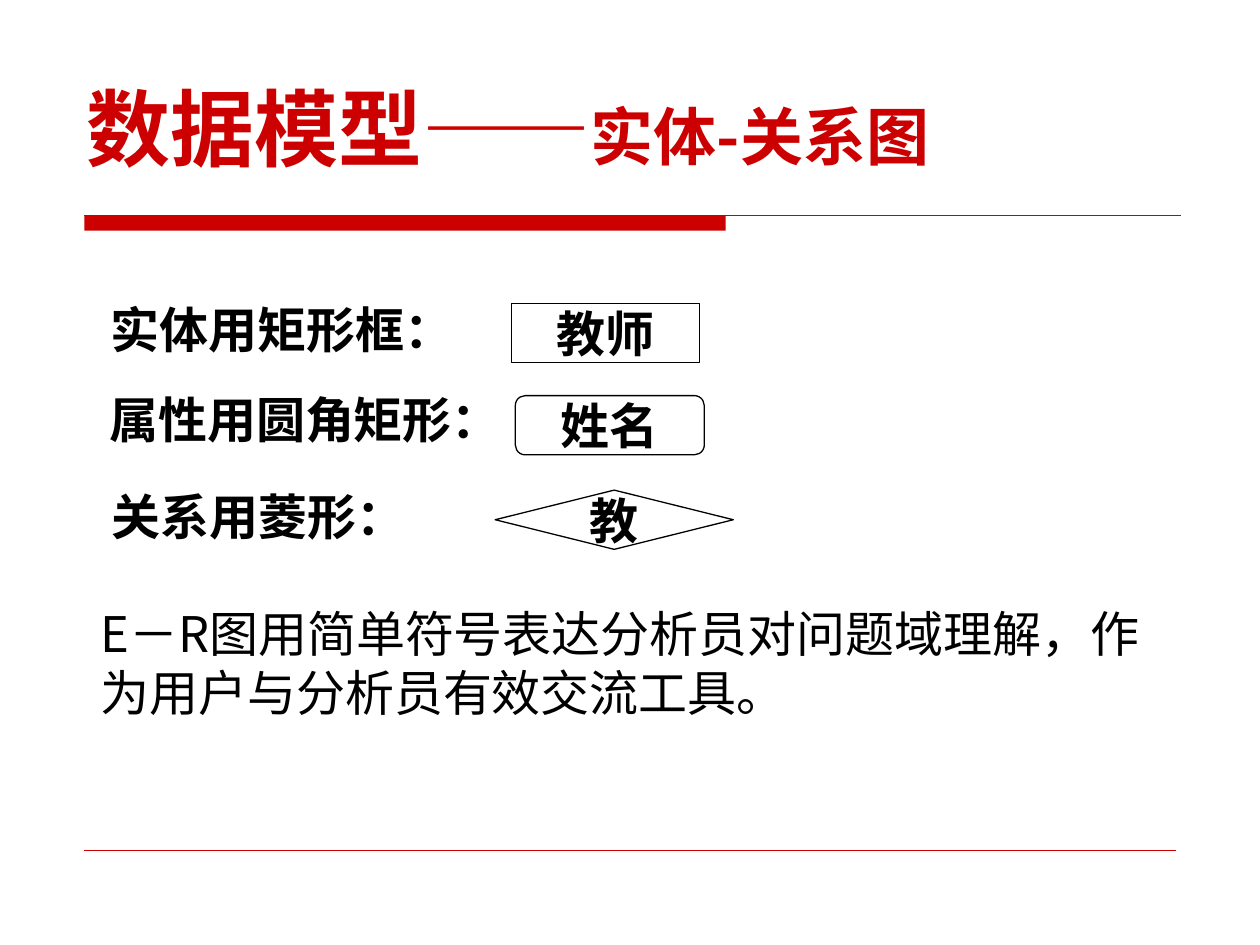
"""Build the slide on entity-relationship diagram symbols."""
import lxml.etree
import pptx
import pptx.dml.color
import pptx.enum.shapes
import pptx.enum.text
import pptx.oxml.ns
import pptx.util

Inches, Pt = pptx.util.Inches, pptx.util.Pt
SHAPE = pptx.enum.shapes.MSO_SHAPE
ANCHOR = pptx.enum.text.MSO_ANCHOR
qn = pptx.oxml.ns.qn
FONT = "Noto Sans CJK SC"
COLORS = {name: pptx.dml.color.RGBColor.from_string(value)
          for name, value in {"red": "CC0000", "black": "000000"}.items()}


def write(sp, runs, size, color, bold=True, wrap=True):
    tf = sp.text_frame
    tf.word_wrap = wrap
    p = tf.paragraphs[0]
    p.font.name = FONT
    p.font.size = Pt(size)
    p.font.bold = bold
    p.font.color.rgb = COLORS[color]
    ea = lxml.etree.SubElement(p._p.pPr.find(qn("a:defRPr")), qn("a:ea"))
    ea.set("typeface", FONT)
    for text in runs:
        p.add_run().text = text
    return p


def add_rule(x1, x2, y, width):
    line = s.shapes.add_connector(
        pptx.enum.shapes.MSO_CONNECTOR.STRAIGHT,
        Inches(x1), Inches(y), Inches(x2), Inches(y))
    line.line.color.rgb = COLORS["red"]
    line.line.width = Pt(width)
    lxml.etree.SubElement(line._element.spPr, qn("a:effectLst"))


prs = pptx.Presentation()
prs.slide_width, prs.slide_height = Inches(10), Inches(7.5)
s = prs.slides.add_slide(prs.slide_layouts[6])

bar = s.shapes.add_shape(SHAPE.RECTANGLE, Inches(0.67), Inches(1.71), Inches(5.09), Inches(0.12))
bar.shadow.inherit = False
bar.fill.solid()
bar.fill.fore_color.rgb = COLORS["red"]
bar.line.fill.background()
add_rule(0.67, 9.37, 1.71, 0.75)
add_rule(0.67, 9.33, 6.75, 0.25)

title = s.shapes.add_textbox(Inches(0.59), Inches(0.41), Inches(8.75), Inches(1.05))
title.text_frame.vertical_anchor = ANCHOR.BOTTOM
p = write(title, ["数据模型", "——", "实体-关系图"], 48, "red")
p.runs[1].font.bold = False
p.runs[2].font.size = Pt(36)

texts = [
    ("实体用矩形框：", 0.78, 2.33, 4.33, 0.71, True, True),
    ("E－R图用简单符号表达分析员对问题域理解，作为用户与分析员有效交流工具。",
     0.7, 4.74, 8.66, 1.04, False, True),
    ("属性用圆角矩形：", 0.77, 3.04, 3.3, 0.57, True, False),
    ("关系用菱形：", 0.79, 3.81, 2.53, 0.57, True, False),
]
for text, x, y, w, h, bold, wrap in texts:
    sp = s.shapes.add_textbox(Inches(x), Inches(y), Inches(w), Inches(h))
    p = write(sp, [text], 28, "black", bold, wrap)
    p.line_spacing = Pt(33.6)

symbols = [
    ("教师", SHAPE.RECTANGLE, 4.06, 2.41, 1.49),
    ("姓名", SHAPE.ROUNDED_RECTANGLE, 4.09, 3.14, 1.5),
    ("教", SHAPE.DIAMOND, 3.93, 3.89, 1.89),
]
for text, kind, x, y, w in symbols:
    sp = s.shapes.add_shape(kind, Inches(x), Inches(y), Inches(w), Inches(0.47))
    sp.shadow.inherit = False
    sp.fill.background()
    sp.line.color.rgb = COLORS["black"]
    sp.line.width = Pt(0.75)
    sp.text_frame.vertical_anchor = ANCHOR.MIDDLE
    p = write(sp, [text], 28, "black", wrap=False)
    p.alignment = pptx.enum.text.PP_ALIGN.CENTER
    p.line_spacing = Pt(33.6)

prs.save("out.pptx")
